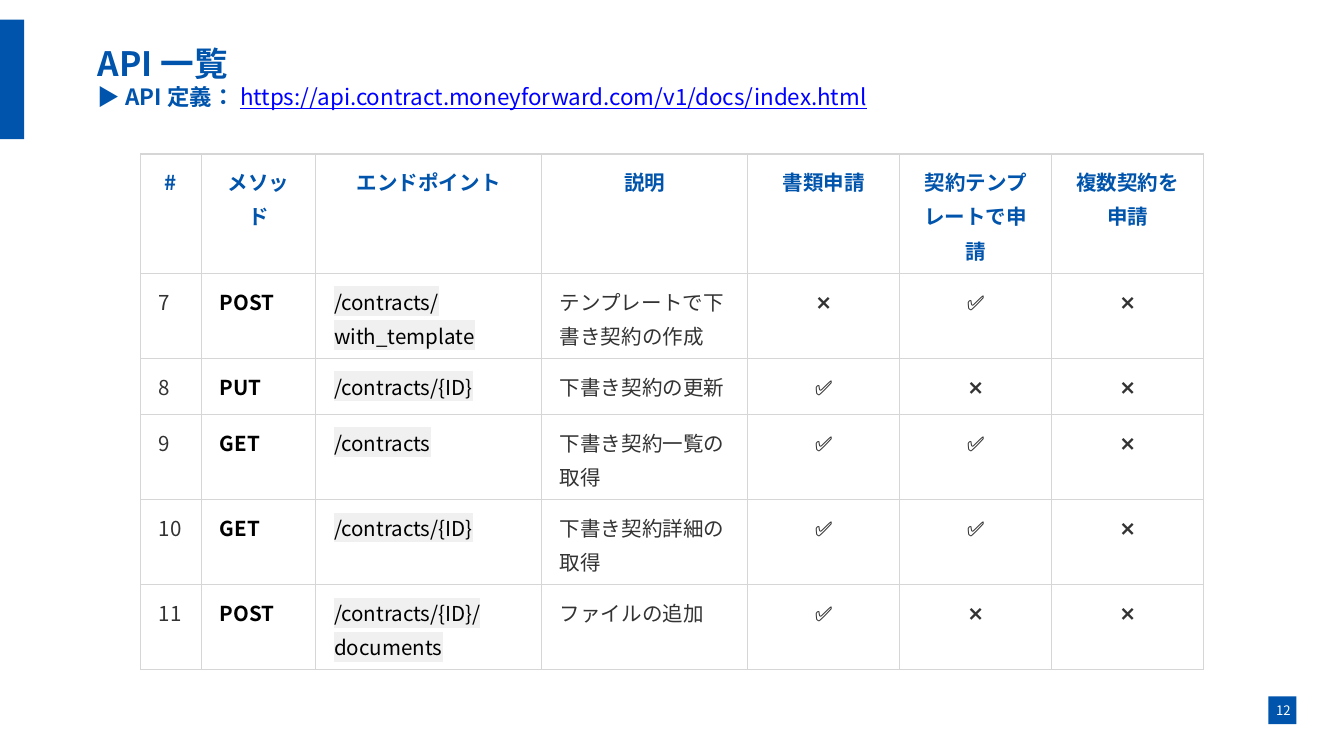
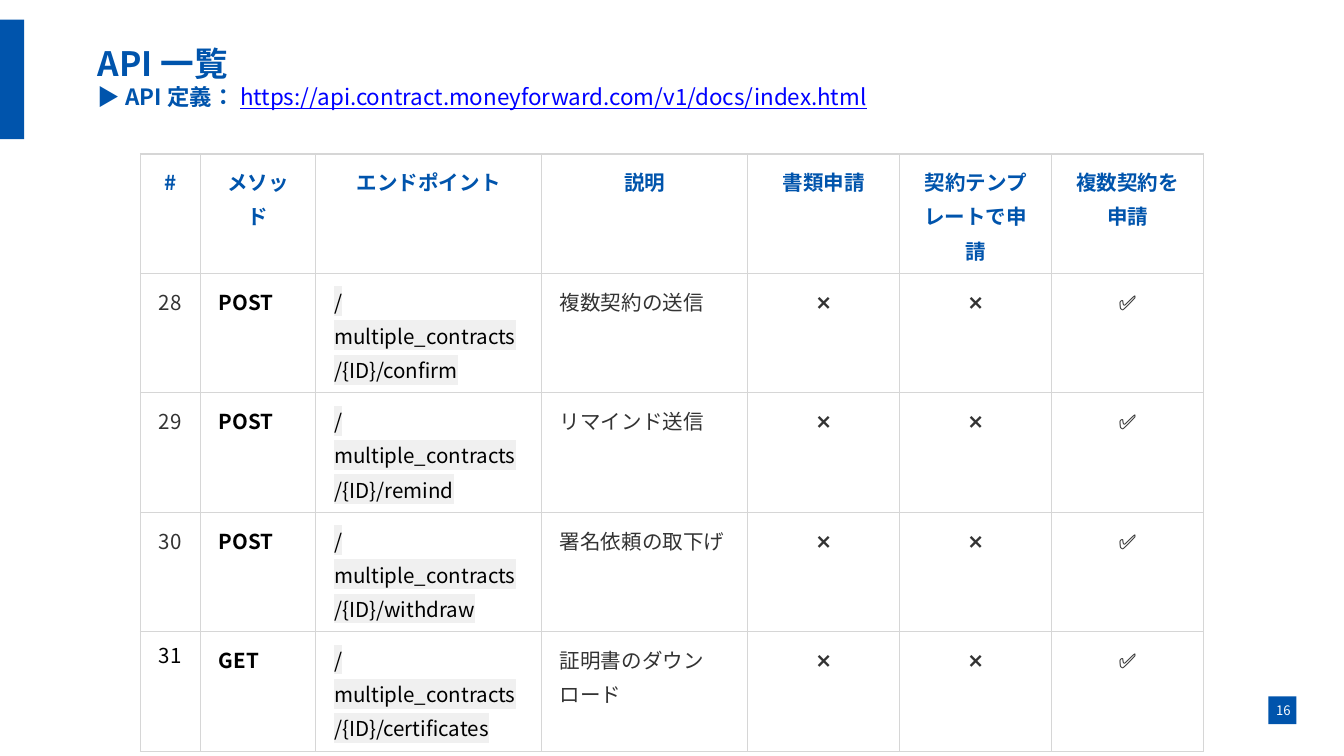
from lxml.etree import SubElement
from pptx import Presentation
from pptx.dml.color import RGBColor
from pptx.enum.lang import MSO_LANGUAGE_ID as Language
from pptx.enum.shapes import MSO_SHAPE as Shape
from pptx.enum.text import MSO_ANCHOR as Anchor, MSO_AUTO_SIZE as AutoSize, PP_ALIGN as Align
from pptx.oxml.ns import qn
from pptx.util import Pt

FONT = "Noto Sans CJK JP"
BLUE, LINK, WHITE, BLACK = "0054AC", "0000FF", "FFFFFF", "000000"
BODY, CODE_BACK, GRID = "333333", "F0F0F0", "D6D6D6"
TITLE_ONLY = 5

DOCS_URL = "https://api.contract.moneyforward.com/v1/docs/index.html"
HEADINGS = ["#", "メソッド", "エンドポイント", "説明",
            "書類申請", "契約テンプレートで申請", "複数契約を申請"]
SHARED_WIDTHS = [121, 110.5] + [81.4] * 3
# Row height by the number of text lines in the row
ROW_HEIGHTS = {1: 30.1, 2: 45.6, 3: 64}
HEADING_LINES = 3

# One format per column: number, method, endpoint, description, three marks
COLUMN_FORMATS = [
    dict(color=BODY),
    dict(color=BLACK, bold=True),
    dict(color=BLACK, highlight=CODE_BACK),
    dict(color=BODY),
] + [dict(color=BODY, align=Align.CENTER)] * 3

DRAFT_APIS = [
    ("7", "POST", "/contracts/with_template", "テンプレートで下書き契約の作成", "❌", "✅", "❌"),
    ("8", "PUT", "/contracts/{ID}", "下書き契約の更新", "✅", "❌", "❌"),
    ("9", "GET", "/contracts", "下書き契約一覧の取得", "✅", "✅", "❌"),
    ("10", "GET", "/contracts/{ID}", "下書き契約詳細の取得", "✅", "✅", "❌"),
    ("11", "POST", "/contracts/{ID}/documents", "ファイルの追加", "✅", "❌", "❌"),
]
MULTIPLE_APIS = [
    (number, method, f"/multiple_contracts/{{ID}}/{action}", description, "❌", "❌", "✅")
    for number, method, action, description in [
        ("28", "POST", "confirm", "複数契約の送信"),
        ("29", "POST", "remind", "リマインド送信"),
        ("30", "POST", "withdraw", "署名依頼の取下げ"),
        ("31", "GET", "certificates", "証明書のダウンロード"),
    ]
]


def rgb(color):
    return RGBColor.from_string(color)


def add_color(parent, tag, color):
    SubElement(SubElement(parent, qn(tag)), qn("a:srgbClr"), val=color)


def add_text(paragraph, text, size=11, color=BODY, bold=False, underline=False, highlight=None):
    run = paragraph.add_run()
    run.text = text
    font = run.font
    font.size, font.bold, font.underline = Pt(size), bold, underline
    font.language_id = Language.JAPANESE
    font.color.rgb = rgb(color)
    properties = run._r.get_or_add_rPr()
    if highlight:
        add_color(properties, "a:highlight", highlight)
    font.name = FONT
    SubElement(properties, qn("a:ea"), typeface=FONT)


def set_margins(holder, horizontal, vertical):
    holder.margin_left = holder.margin_right = Pt(horizontal)
    holder.margin_top = holder.margin_bottom = Pt(vertical)


class Deck:
    def __init__(self):
        self.presentation = Presentation()
        self.presentation.slide_width = Pt(720)
        self.presentation.slide_height = Pt(405)
        self.slide = None

    def start_slide(self, number):
        layout = self.presentation.slide_layouts[TITLE_ONLY]
        self.slide = self.presentation.slides.add_slide(layout)
        self.block(0, 10.6, 13, 64)
        self.block(679.5, 373, 15, 15)
        self.title()
        self.page_number(number)

    def block(self, left, top, width, height):
        block = self.slide.shapes.add_shape(
            Shape.RECTANGLE, Pt(left), Pt(top), Pt(width), Pt(height))
        block.shadow.inherit = False
        block.fill.solid()
        block.fill.fore_color.rgb = rgb(BLUE)
        block.line.fill.background()

    def title(self):
        title = self.slide.shapes.title
        title.left, title.top, title.width, title.height = Pt(52.4), Pt(24.7), Pt(615), Pt(32.4)
        frame = title.text_frame
        frame.auto_size = AutoSize.NONE
        frame.word_wrap = True
        frame.vertical_anchor = Anchor.MIDDLE
        set_margins(frame, 0, 0)
        paragraph = frame.paragraphs[0]
        paragraph.alignment = Align.LEFT
        add_text(paragraph, "API一覧", size=18, color=BLUE, bold=True)
        # The break needs its own size, or it takes the template's larger one
        SubElement(SubElement(paragraph._p, qn("a:br")), qn("a:rPr"), sz="1800")
        add_text(paragraph, "▶API定義：", size=12, color=BLUE, bold=True, highlight=WHITE)
        add_text(paragraph, DOCS_URL, size=12, color=LINK, underline=True, highlight=WHITE)

    def page_number(self, number):
        box = self.slide.shapes.add_textbox(Pt(673), Pt(371.9), Pt(29), Pt(18.7))
        frame = box.text_frame
        frame.word_wrap = True
        set_margins(frame, 7.2, 7.2)
        paragraph = frame.paragraphs[0]
        paragraph.alignment = Align.CENTER
        add_text(paragraph, str(number), size=7, color=WHITE)

    def cell(self, cell, text, align=Align.LEFT, plain=False, highlight=WHITE, **style):
        """Fill one table cell; a plain cell has black text and default spacing."""
        set_margins(cell, 9.8, 4.5)
        properties = cell._tc.get_or_add_tcPr()
        for side in ("a:lnL", "a:lnR", "a:lnT", "a:lnB"):
            border = SubElement(properties, qn(side), w=str(Pt(0.68)))
            add_color(border, "a:solidFill", GRID)
        cell.fill.background()
        paragraph = cell.text_frame.paragraphs[0]
        paragraph.alignment = align
        if plain:
            add_text(paragraph, text, color=BLACK)
            return
        paragraph.line_spacing = 1.15
        paragraph.space_after = Pt(11)
        add_text(paragraph, text, highlight=highlight, **style)

    def api_table(self, first_widths, apis, line_counts, plain_number=None):
        widths = first_widths + SHARED_WIDTHS
        heights = [ROW_HEIGHTS[lines] for lines in [HEADING_LINES] + line_counts]
        table = self.slide.shapes.add_table(
            len(heights), len(widths), Pt(75.2), Pt(82.5),
            Pt(sum(widths)), Pt(sum(heights))).table
        table.first_row = table.horz_banding = False
        for column, width in zip(table.columns, widths):
            column.width = Pt(width)
        for row, height in zip(table.rows, heights):
            row.height = Pt(height)
        for index, heading in enumerate(HEADINGS):
            self.cell(table.cell(0, index), heading, align=Align.CENTER, color=BLUE, bold=True)
        for row_index, api in enumerate(apis, 1):
            for index, (text, style) in enumerate(zip(api, COLUMN_FORMATS)):
                self.cell(table.cell(row_index, index), text,
                          plain=text == plain_number, **style)


def main():
    deck = Deck()
    deck.start_slide(12)
    deck.api_table([32.7, 61.3], DRAFT_APIS, [2, 1, 2, 2, 2])
    deck.start_slide(16)
    deck.api_table([32.2, 61.8], MULTIPLE_APIS, [3] * 4, plain_number="31")
    deck.presentation.save("out.pptx")


if __name__ == "__main__":
    main()
